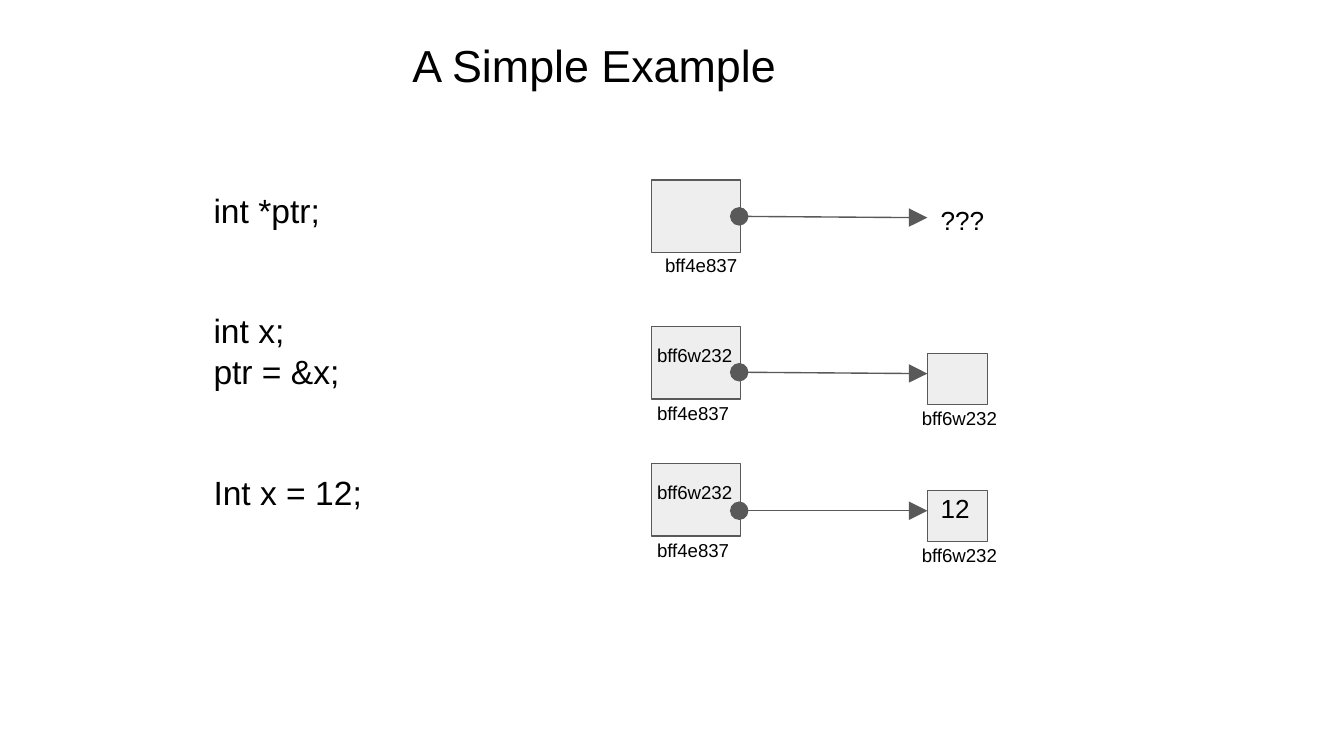
from dataclasses import dataclass

from lxml import etree
from pptx import Presentation
from pptx.dml.color import RGBColor
from pptx.enum.shapes import MSO_CONNECTOR as CONNECTOR, MSO_SHAPE as SHAPE
from pptx.enum.text import MSO_ANCHOR as ANCHOR, MSO_AUTO_SIZE as AUTO_SIZE, PP_ALIGN as ALIGN
from pptx.oxml.ns import qn
from pptx.util import Inches, Pt

COLORS = {"text": "000000", "box": "EEEEEE", "line": "595959"}
FONT = "Arial"
POINTER_X, TARGET_X = 4.85, 6.9
ARROW_X = 5.5
LABEL_SIZE = (1.15, 0.12)
CODE_PITCH = 21.6


@dataclass
class PointerRow:
    top: float
    arrow_y: float
    arrow_drop: float
    label_x: float
    label_y: float
    stored: str = ""


@dataclass
class Statement:
    code: str
    lines_before: int


ROWS = [
    PointerRow(1.34, 1.61, 0.01, 4.85, 1.83),
    PointerRow(2.43, 2.77, 0.01, 4.79, 2.93, "bff6w232"),
    PointerRow(3.45, 3.8, 0.0, 4.79, 3.95, "bff6w232"),
]
STATEMENTS = [
    Statement("int *ptr;", 0),
    Statement("int x;", 2),
    Statement("ptr = &x;", 0),
    Statement("Int x = 12;", 2),
]


def color(name: str) -> RGBColor:
    return RGBColor.from_string(COLORS[name])


def format_frame(tf, size: float) -> None:
    tf.word_wrap = True
    tf.auto_size = AUTO_SIZE.NONE
    tf.vertical_anchor = ANCHOR.TOP
    tf.margin_left = tf.margin_right = tf.margin_top = tf.margin_bottom = Inches(0.1)
    for p in tf.paragraphs:
        for r in p.runs:
            r.font.name = FONT
            r.font.size = Pt(size)
            r.font.color.rgb = color("text")


def add_text(slide, text: str, x: float, y: float, w: float, h: float, size: float):
    sp = slide.shapes.add_textbox(Inches(x), Inches(y), Inches(w), Inches(h))
    tf = sp.text_frame
    tf.text = text
    format_frame(tf, size)
    return tf


def add_box(slide, x: float, y: float, w: float, h: float) -> None:
    sp = slide.shapes.add_shape(SHAPE.RECTANGLE, Inches(x), Inches(y), Inches(w), Inches(h))
    sp.shadow.inherit = False
    sp.fill.solid()
    sp.fill.fore_color.rgb = color("box")
    sp.line.color.rgb = color("line")
    sp.line.width = Pt(0.75)


def add_arrow(slide, x1: float, y1: float, x2: float, y2: float) -> None:
    cxn = slide.shapes.add_connector(
        CONNECTOR.STRAIGHT, Inches(x1), Inches(y1), Inches(x2), Inches(y2))
    cxn.line.color.rgb = color("line")
    cxn.line.width = Pt(0.75)
    ln = cxn.line._get_or_add_ln()
    for tag, kind in (("a:headEnd", "oval"), ("a:tailEnd", "triangle")):
        etree.SubElement(ln, qn(tag), type=kind, w="lg", len="lg")
    etree.SubElement(cxn._element.spPr, qn("a:effectLst"))


def add_pointer(slide, row: PointerRow) -> None:
    add_box(slide, POINTER_X, row.top, 0.66, 0.54)
    add_text(slide, "bff4e837", row.label_x, row.label_y, *LABEL_SIZE, 10)
    if row.stored:
        add_box(slide, TARGET_X, row.top + 0.2, 0.45, 0.38)
        add_text(slide, row.stored, 4.79, row.top + 0.07, *LABEL_SIZE, 10)
        add_text(slide, row.stored, 6.76, row.top + 0.54, *LABEL_SIZE, 10)
    add_arrow(slide, ARROW_X, row.arrow_y, TARGET_X, row.arrow_y + row.arrow_drop)


# Slide in 16:9
prs = Presentation()
prs.slide_width = Inches(10)
prs.slide_height = Inches(10 * 9 / 16)
slide = prs.slides.add_slide(prs.slide_layouts[5])

# Title
title = slide.shapes.title
title.left, title.top = Inches(0), Inches(0.18)
title.width, title.height = Inches(8.84), Inches(0.78)
title.text_frame.text = "A Simple Example"
format_frame(title.text_frame, 24)
title.text_frame.paragraphs[0].alignment = ALIGN.CENTER

# Code statements
code = "\n".join(s.code for s in STATEMENTS)
tf = add_text(slide, code, 1.49, 1.31, 8.51, 2.77, 18)
for p, statement in zip(tf.paragraphs, STATEMENTS):
    p.line_spacing = Pt(CODE_PITCH)
    p.space_before = Pt(CODE_PITCH * statement.lines_before)

# Pointer diagrams
for row in ROWS:
    add_pointer(slide, row)

# Target values
add_text(slide, "???", TARGET_X, 1.42, 1.27, 0.38, 14)
add_text(slide, "12", TARGET_X, 3.6, 0.66, 0.12, 14)

prs.save("out.pptx")
